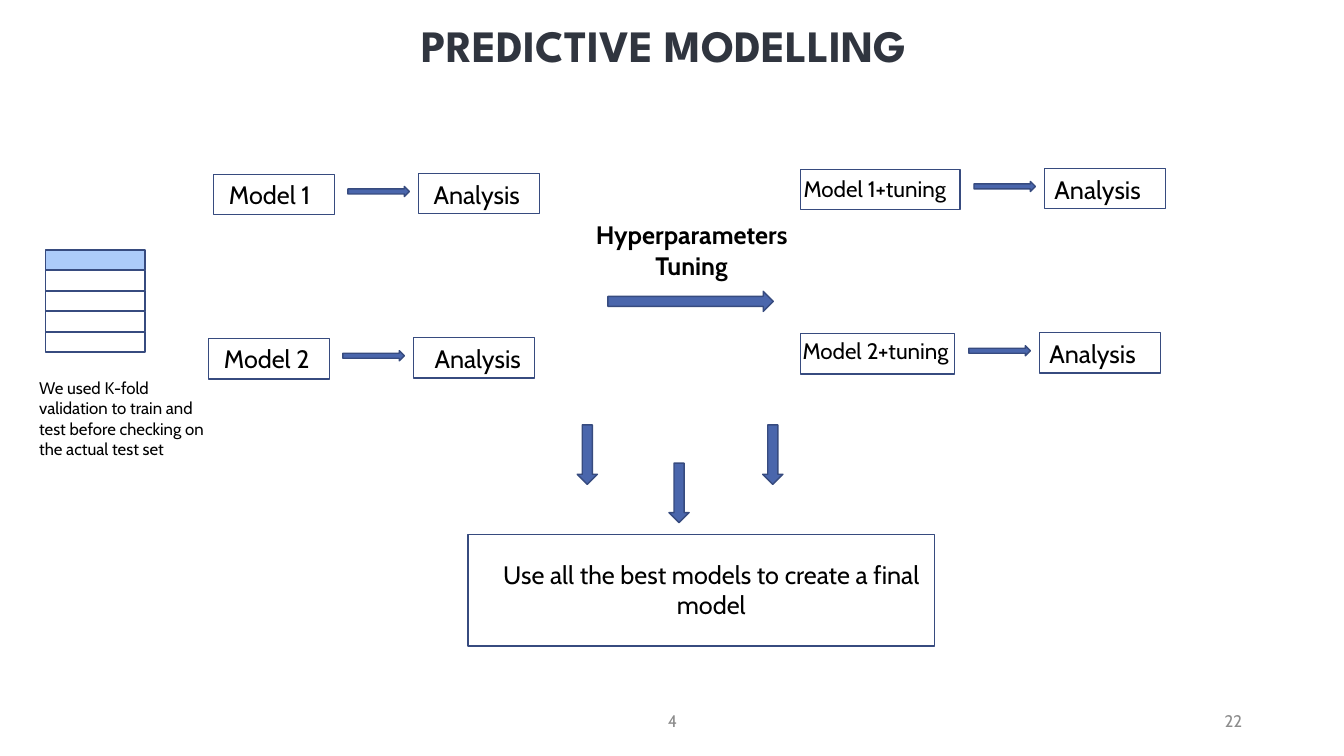
from pptx import Presentation
from pptx.dml.color import RGBColor
from pptx.enum.shapes import MSO_SHAPE
from pptx.enum.text import MSO_ANCHOR, PP_ALIGN
from pptx.util import Inches, Pt

RECT, ARROW = MSO_SHAPE.RECTANGLE, MSO_SHAPE.RIGHT_ARROW
LEFT, CENTER, RIGHT = PP_ALIGN.LEFT, PP_ALIGN.CENTER, PP_ALIGN.RIGHT
TOP, MIDDLE = MSO_ANCHOR.TOP, MSO_ANCHOR.MIDDLE
BLACK = RGBColor(0x00, 0x00, 0x00)
WHITE = RGBColor(0xFF, 0xFF, 0xFF)
SLATE = RGBColor(0x30, 0x35, 0x3F)
GRAY = RGBColor(0x8C, 0x8C, 0x8C)
BLUE = RGBColor(0x4A, 0x66, 0xAC)
NAVY = RGBColor(0x37, 0x4B, 0x7F)
PALE_BLUE = RGBColor(0xAC, 0xCB, 0xF9)

prs = Presentation()
prs.slide_width, prs.slide_height = Inches(13.33), Inches(7.5)
slide = prs.slides.add_slide(prs.slide_layouts[6])


def add_block(kind, left, top, width, height, fill, rotation=0):
    block = slide.shapes.add_shape(
        kind, Inches(left), Inches(top), Inches(width), Inches(height))
    block.shadow.inherit = False
    block.fill.solid()
    block.fill.fore_color.rgb = fill
    block.line.color.rgb = NAVY
    block.line.width = Pt(1)
    block.rotation = rotation


def add_label(words, left, top, width, height, size=18, align=LEFT, color=BLACK,
              bold=False, font="Cabin", **frame_format):
    label = slide.shapes.add_textbox(
        Inches(left), Inches(top), Inches(width), Inches(height))
    frame = label.text_frame
    for name, value in ({"word_wrap": True} | frame_format).items():
        setattr(frame, name, value)
    paragraph = frame.paragraphs[0]
    paragraph.alignment = align
    run = paragraph.add_run()
    run.text = words
    font_format = {"name": font, "size": Pt(size), "bold": bold}
    for name, value in font_format.items():
        setattr(run.font, name, value)
    run.font.color.rgb = color


# Title
add_label("PREDICTIVE MODELLING", 4.06, 0.18, 5.21, 0.54, 32, CENTER, SLATE, True,
          "League Spartan", word_wrap=False, margin_left=0, margin_top=0,
          margin_right=Inches(0.15), margin_bottom=0)

# K-fold stack, with the held-out fold on top
for fold in range(5):
    add_block(RECT, 0.45, 2.48 + fold * 0.203, 0.99, 0.2,
              WHITE if fold else PALE_BLUE)
add_label("We used K-fold validation to train and test before checking on the "
          "actual test set", 0.29, 3.7, 1.84, 0.91, 12)

# Model -> analysis pairs:
# model, left, top, box width, label left, label top, size, analysis offset, indents
pairs = [
    ("Model 1", 2.12, 1.73, 1.2, 2.12, 1.73, 18, 2.03, 0.15, 0.15),
    ("Model 2", 2.07, 3.36, 1.2, 2.07, 3.36, 18, 2.03, 0.15, 0.21),
    ("Model 1+tuning", 7.94, 1.68, 1.58, 7.82, 1.69, 16, 2.42, 0.15, 0.1),
    ("Model 2+tuning", 7.94, 3.31, 1.53, 7.81, 3.3, 16, 2.37, 0.15, 0.1),
]
for (model, left, top, width, label_left, label_top, size, offset,
     model_indent, analysis_indent) in pairs:
    analysis_left = left + offset
    add_block(RECT, left, top, width, 0.4, WHITE)
    add_label(model, label_left, label_top, 1.99, 0.4, size,
              margin_left=Inches(model_indent))
    add_block(RECT, analysis_left, top - 0.01, 1.2, 0.4, WHITE)
    add_label("Analysis", analysis_left, top, 1.64, 0.4,
              margin_left=Inches(analysis_indent))
    add_block(ARROW, analysis_left - 0.7, top + 0.12, 0.61, 0.1, BLUE)

# Tuning step
add_label("Hyperparameters Tuning", 5.79, 2.13, 2.14, 0.71, 18, CENTER, bold=True)
add_block(ARROW, 6.03, 2.89, 1.64, 0.2, BLUE)

# Arrows down to the final model
for left, top in [(5.53, 4.41), (6.44, 4.79), (7.37, 4.41)]:
    add_block(ARROW, left, top, 0.59, 0.2, BLUE, 90)
add_block(RECT, 4.64, 5.3, 4.63, 1.11, WHITE)
add_label("Use all the best models to create a final model",
          4.84, 5.5, 4.43, 0.71, 18, CENTER)

# Footer
add_label("4", 4.42, 6.95, 4.5, 0.4, 12, CENTER, GRAY, vertical_anchor=MIDDLE)
add_label("22", 9.42, 6.95, 3, 0.4, 12, RIGHT, GRAY, vertical_anchor=MIDDLE)

prs.save("out.pptx")
